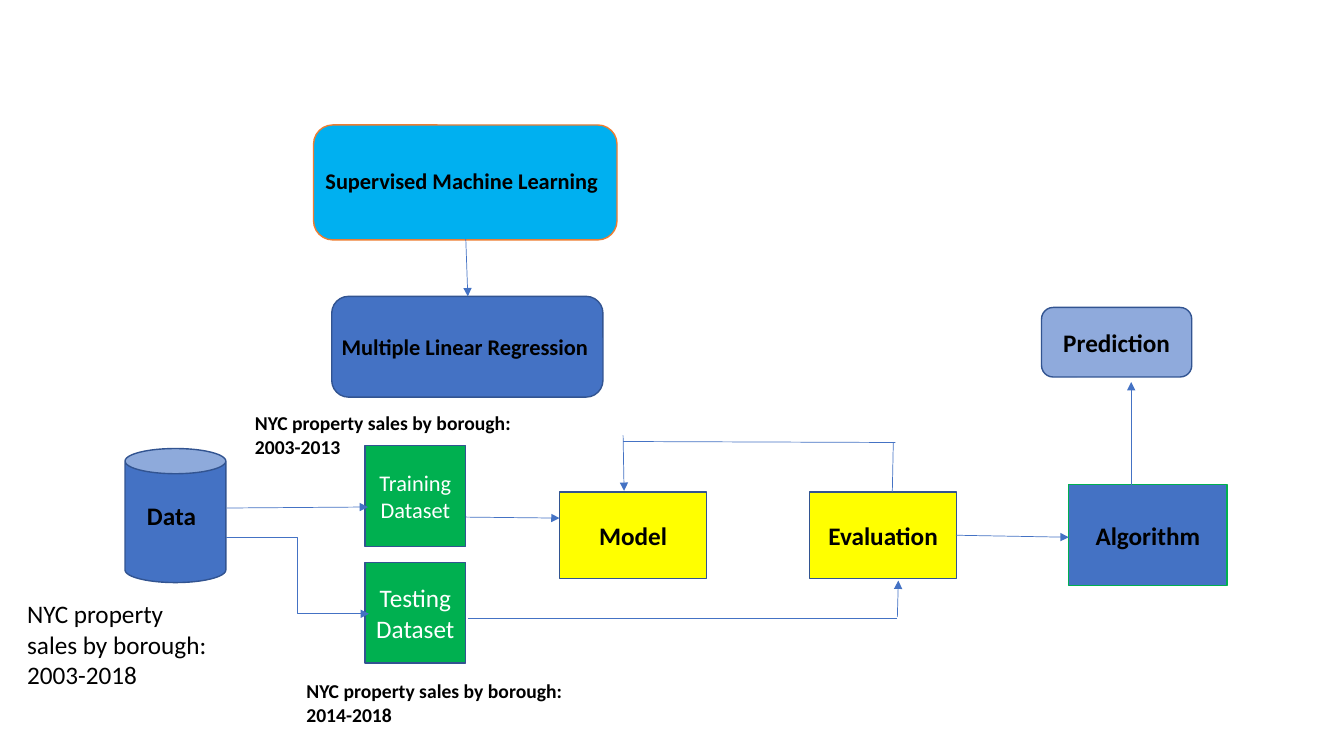
from dataclasses import dataclass

from lxml.etree import SubElement
from pptx import Presentation
from pptx.dml.color import RGBColor
from pptx.enum.shapes import MSO_CONNECTOR, MSO_SHAPE
from pptx.enum.text import MSO_ANCHOR, MSO_AUTO_SIZE, PP_ALIGN
from pptx.oxml.ns import qn
from pptx.util import Inches, Pt


@dataclass(frozen=True)
class Theme:
    font: str = "Calibri"
    black: str = "000000"
    white: str = "FFFFFF"
    blue: str = "4472C4"
    pale_blue: str = "8FAADC"
    dark_blue: str = "325491"
    sky: str = "00B0F0"
    orange: str = "ED7D31"
    green: str = "00B050"
    yellow: str = "FFFF00"
    large: int = 18
    medium: int = 16
    small: int = 14
    border: float = 1
    flow: float = 0.5


THEME = Theme()


def color(code):
    return RGBColor.from_string(code)


def write(frame, text, size, ink, bold):
    run = frame.paragraphs[0].add_run()
    run.text = text
    run.font.name = THEME.font
    run.font.size = Pt(size)
    run.font.bold = bold
    run.font.color.rgb = color(ink)


def add_step(slide, kind, box, fill, text="", size=THEME.large,
             ink=THEME.black, bold=True, border=THEME.dark_blue):
    step = slide.shapes.add_shape(kind, *map(Inches, box))
    step.shadow.inherit = False
    step.fill.solid()
    step.fill.fore_color.rgb = color(fill)
    step.line.color.rgb = color(border)
    step.line.width = Pt(THEME.border)
    if text:
        frame = step.text_frame
        frame.word_wrap = True
        frame.vertical_anchor = MSO_ANCHOR.MIDDLE
        frame.paragraphs[0].alignment = PP_ALIGN.CENTER
        write(frame, text, size, ink, bold)


def add_label(slide, box, text, size, bold=True):
    frame = slide.shapes.add_textbox(*map(Inches, box)).text_frame
    frame.word_wrap = True
    frame.auto_size = MSO_AUTO_SIZE.SHAPE_TO_FIT_TEXT
    write(frame, text, size, THEME.black, bold)


def add_flow(slide, start, end, arrow=True, kind=MSO_CONNECTOR.STRAIGHT):
    flow = slide.shapes.add_connector(kind, *map(Inches, start + end))
    flow.line.color.rgb = color(THEME.blue)
    flow.line.width = Pt(THEME.flow)
    if arrow:
        SubElement(flow.line._get_or_add_ln(), qn("a:tailEnd"), type="triangle")
    SubElement(flow._element.spPr, qn("a:effectLst"))


def main():
    deck = Presentation()
    deck.slide_width, deck.slide_height = Inches(13.33), Inches(7.5)
    slide = deck.slides.add_slide(deck.slide_layouts[6])
    rounded, rectangle = MSO_SHAPE.ROUNDED_RECTANGLE, MSO_SHAPE.RECTANGLE

    # Learning method
    add_step(slide, rounded, (3.11, 1.24, 3.01, 1.14), THEME.sky,
             border=THEME.orange)
    add_label(slide, (3.13, 1.61, 3.56, 0.37), "Supervised Machine Learning",
              THEME.medium)
    add_step(slide, rounded, (3.29, 2.94, 2.69, 1), THEME.blue)
    add_label(slide, (3.29, 3.26, 3, 0.37), "Multiple Linear Regression",
              THEME.medium)

    # Data source and its two subsets
    add_step(slide, MSO_SHAPE.CAN, (1.24, 4.45, 1, 1.33), THEME.blue)
    add_label(slide, (1.36, 4.91, 3, 0.4), "Data", THEME.large)
    for top, subset, size in ((5.58, "Testing Dataset", THEME.large),
                              (4.42, "Training Dataset", THEME.medium)):
        add_step(slide, rectangle, (3.62, top, 1, 1), THEME.green, subset,
                 size, THEME.white, bold=False)

    # Modelling steps
    for left, stage in ((5.55, "Model"), (8.03, "Evaluation")):
        add_step(slide, rectangle, (left, 4.88, 1.46, 0.86), THEME.yellow, stage)
    add_step(slide, rectangle, (10.6, 4.81, 1.57, 1), THEME.blue, "Algorithm",
             border=THEME.green)
    add_step(slide, rounded, (10.33, 3.05, 1.49, 0.69), THEME.pale_blue,
             "Prediction")

    # Arrows between steps
    for start, end in (
        ((4.62, 2.37), (4.64, 2.94)),    # method to regression
        ((2.25, 5.04), (3.65, 5.03)),    # data to training
        ((8.9, 6.12), (8.91, 5.76)),     # testing up to evaluation
        ((6.18, 4.32), (6.19, 4.87)),    # feedback down to model
        ((4.62, 5.13), (5.55, 5.14)),    # training to model
        ((9.48, 5.31), (10.6, 5.33)),    # evaluation to algorithm
        ((11.22, 4.87), (11.22, 3.79)),  # algorithm to prediction
    ):
        add_flow(slide, start, end)
    add_flow(slide, (2.24, 5.33), (3.66, 6.09), kind=MSO_CONNECTOR.ELBOW)

    # Plain segments of the testing and feedback paths
    for start, end in (
        ((4.64, 6.13), (8.9, 6.13)),
        ((6.18, 4.38), (8.88, 4.39)),
        ((8.86, 4.39), (8.85, 4.88)),
    ):
        add_flow(slide, start, end, arrow=False)

    # Period of each dataset
    add_label(slide, (0.17, 5.89, 2.01, 1.01),
              "NYC property sales by borough: 2003-2018", THEME.large, bold=False)
    for left, top, years in ((2.43, 4.03, "2003-2013"), (2.94, 6.69, "2014-2018")):
        add_label(slide, (left, top, 3, 0.57),
                  f"NYC property sales by\u00a0borough: {years}", THEME.small)

    deck.save("out.pptx")


main()
